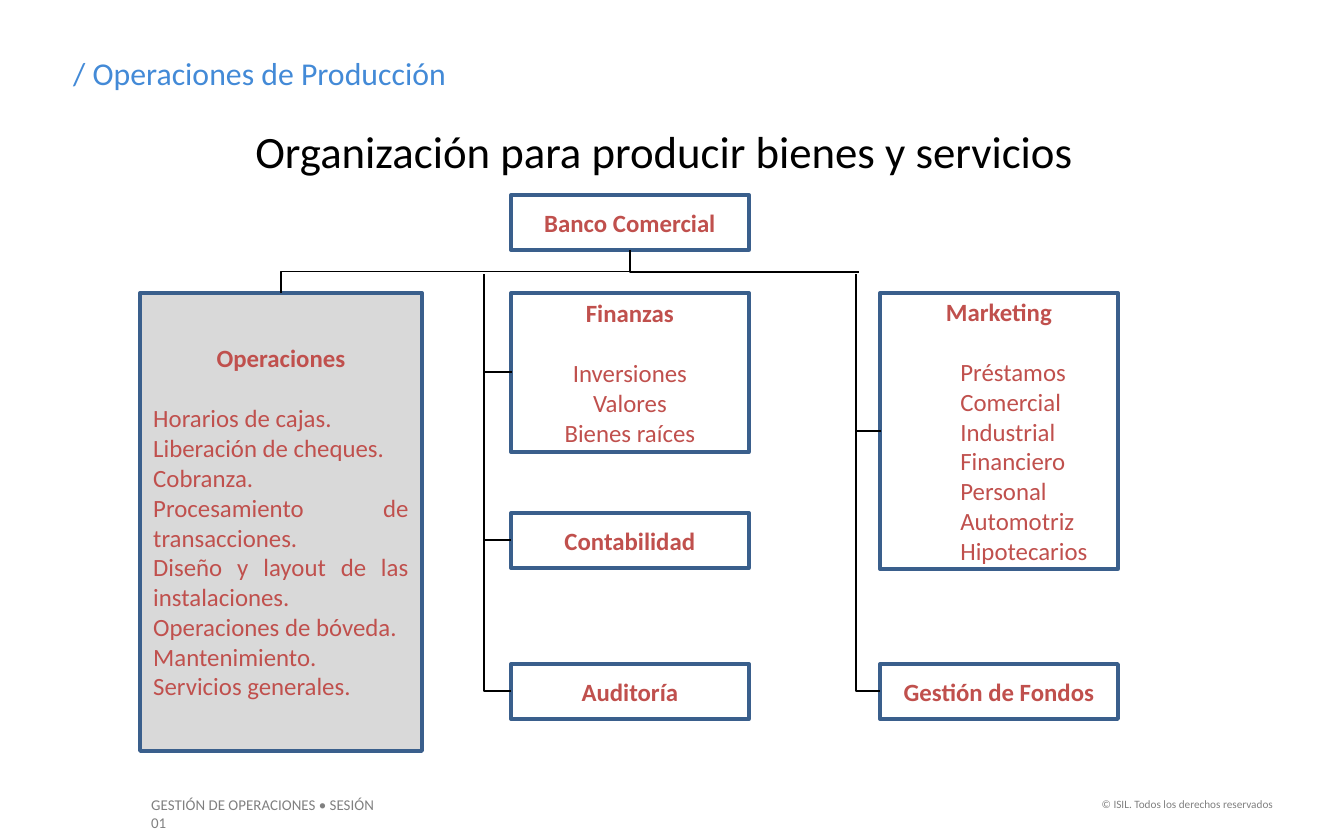
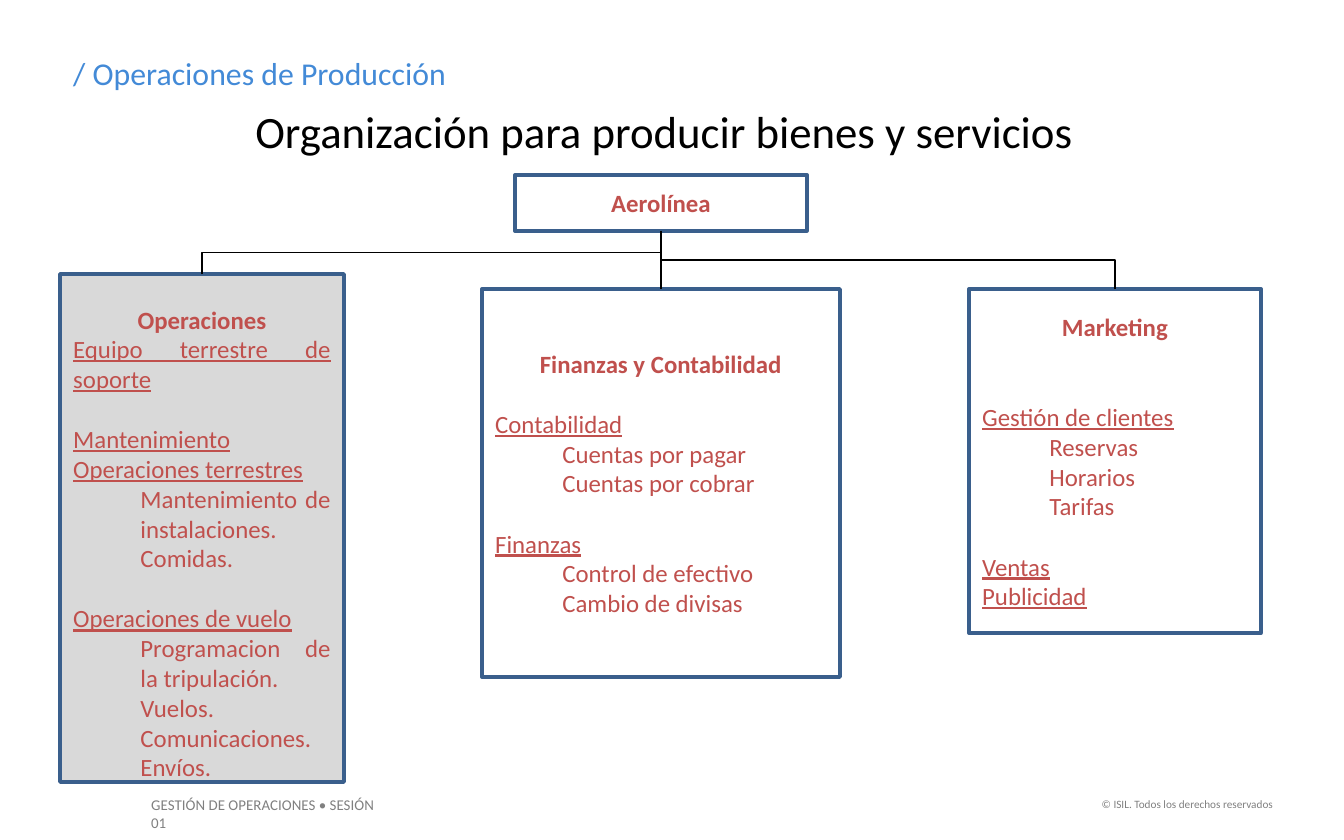
from dataclasses import dataclass
from enum import Enum
from math import cos, radians, sin

from lxml.etree import SubElement
from pptx import Presentation
from pptx.dml.color import RGBColor
from pptx.enum.shapes import MSO_CONNECTOR, MSO_SHAPE
from pptx.enum.text import MSO_ANCHOR, MSO_AUTO_SIZE, PP_ALIGN
from pptx.oxml.ns import qn
from pptx.util import Inches, Pt

EMU_PER_PX = 914400 / 134.4
TITLE = "Organización para producir bienes y servicios"
SECTION = "/ Operaciones de Producción"
COURSE = "GESTIÓN DE OPERACIONES • SESIÓN 01"
RIGHTS = "© ISIL. Todos los derechos reservados"


@dataclass(frozen=True)
class Theme:
    font: str = "Calibri"
    ink: str = "000000"
    section: str = "438AD7"
    footer: str = "808080"
    unit_text: str = "C0504D"
    unit_border: str = "3A5F8C"
    highlight: str = "D9D9D9"
    title_size: float = 24
    section_size: float = 17
    unit_size: float = 13.3
    course_size: float = 8
    rights_size: float = 6
    border_width: float = 2
    link_width: float = 0.75
    blank_line: float = 16.25


THEME = Theme()


class Role(Enum):
    HEAD = "head"
    ENTRY = "entry"
    TOPIC = "topic"
    DETAIL = "detail"


@dataclass(frozen=True)
class Line:
    text: str
    role: Role = Role.ENTRY
    blanks: int = 0


def px(length):
    return round(length * EMU_PER_PX)


def area(*lengths):
    return [px(length) for length in lengths]


def color(value):
    return RGBColor.from_string(value)


def head(text):
    return [Line(text, Role.HEAD)]


def entries(*texts, blanks=0):
    return [Line(text, Role.ENTRY, 0 if i else blanks) for i, text in enumerate(texts)]


def topic(text, *details, blanks=0):
    return [Line(text, Role.TOPIC, blanks)] + [Line(d, Role.DETAIL) for d in details]


def style_font(paragraph, size, tone):
    font = paragraph.font
    font.name = THEME.font
    font.size = Pt(size)
    font.color.rgb = color(tone)
    return font


def add_label(slide, at, text, size, tone, align=PP_ALIGN.LEFT):
    label = slide.shapes.add_textbox(*area(*at))
    label.text_frame.word_wrap = True
    paragraph = label.text_frame.paragraphs[0]
    paragraph.text = text
    paragraph.alignment = align
    style_font(paragraph, size, tone)
    return label


def set_title(slide, top):
    title = slide.shapes.title
    title.left, title.top, title.width, title.height = area(19, top, 1290, 67)
    frame = title.text_frame
    frame.text = TITLE
    frame.auto_size = MSO_AUTO_SIZE.NONE
    frame.vertical_anchor = MSO_ANCHOR.TOP
    frame.paragraphs[0].alignment = PP_ALIGN.CENTER
    style_font(frame.paragraphs[0], THEME.title_size, THEME.ink)


def add_footers(slide, layout):
    course = add_label(slide, (138, 789, 267, 32), COURSE, THEME.course_size, THEME.footer)
    rights = add_label(slide, (1079, 791, 207, 27), RIGHTS, THEME.rights_size,
                       THEME.footer, PP_ALIGN.RIGHT)
    for footer in (course, rights):
        layout.shapes.element.append(footer.element)


def add_chart_slide(deck, layout, title_top):
    slide = deck.slides.add_slide(layout)
    set_title(slide, title_top)
    add_label(slide, (60, 47, 1059, 52), SECTION, THEME.section_size, THEME.section)
    return slide


def write_line(paragraph, line, align):
    paragraph.text = line.text
    paragraph.alignment = PP_ALIGN.CENTER if line.role is Role.HEAD else align
    if line.blanks:
        paragraph.space_before = Pt(line.blanks * THEME.blank_line)
    if line.role is Role.DETAIL:
        paragraph.level = 1
        properties = paragraph._p.get_or_add_pPr()
        properties.set("marL", str(Inches(0.5)))
        properties.set("indent", "0")
    font = style_font(paragraph, THEME.unit_size, THEME.unit_text)
    font.bold = line.role is Role.HEAD
    font.underline = line.role is Role.TOPIC


def add_unit(slide, at, lines, align=PP_ALIGN.LEFT, fill=None, lead=0):
    unit = slide.shapes.add_shape(MSO_SHAPE.RECTANGLE, *area(*at))
    unit.shadow.inherit = False
    if fill:
        unit.fill.solid()
        unit.fill.fore_color.rgb = color(fill)
    else:
        unit.fill.background()
    unit.line.color.rgb = color(THEME.unit_border)
    unit.line.width = Pt(THEME.border_width)
    frame = unit.text_frame
    frame.word_wrap = True
    frame.vertical_anchor = MSO_ANCHOR.MIDDLE
    frame.margin_top += px(lead)
    for i, line in enumerate(lines):
        paragraph = frame.add_paragraph() if i else frame.paragraphs[0]
        write_line(paragraph, line, align)
    return unit


def add_link(slide, kind, start, end):
    link = slide.shapes.add_connector(kind, *area(*start, *end))
    link.line.color.rgb = color(THEME.ink)
    link.line.width = Pt(THEME.link_width)
    SubElement(link.element.spPr, qn("a:effectLst"))
    return link


def add_elbow(slide, start, end, turn, bend=0.5, corner=False):
    center = [(a + b) / 2 for a, b in zip(start, end)]
    half_x, half_y = [(b - a) / 2 for a, b in zip(start, end)]
    c, s = round(cos(radians(turn))), round(sin(radians(turn)))
    reach = (half_x * c + half_y * s, half_y * c - half_x * s)
    elbow = add_link(slide, MSO_CONNECTOR.ELBOW,
                     [m - r for m, r in zip(center, reach)],
                     [m + r for m, r in zip(center, reach)])
    properties = elbow.element.spPr
    properties.find(qn("a:xfrm")).set("rot", str(turn * 60000))
    preset = properties.find(qn("a:prstGeom"))
    if corner:
        preset.set("prst", "bentConnector2")
    elif bend != 0.5:
        guides = preset.find(qn("a:avLst"))
        if guides is None:
            guides = SubElement(preset, qn("a:avLst"))
        SubElement(guides, qn("a:gd"), name="adj1", fmla=f"val {round(bend * 100000)}")


def build_bank(deck, layout):
    slide = add_chart_slide(deck, layout, 117)
    finance_x, marketing_x, width, low = 511, 880, 238, 55
    add_unit(slide, (finance_x, 195, width, low), head("Banco Comercial"))
    add_unit(slide, (finance_x, 293, width, 159),
             head("Finanzas") + entries("Inversiones", "Valores", "Bienes raíces", blanks=1),
             PP_ALIGN.CENTER)
    add_unit(slide, (finance_x, 513, width, low), head("Contabilidad"))
    add_unit(slide, (finance_x, 664, width, low), head("Auditoría"))
    loans = ["Préstamos", "Comercial", "Industrial", "Financiero", "Personal",
             "Automotriz", "Hipotecarios"]
    add_unit(slide, (marketing_x, 293, width, 276),
             head("Marketing") + [Line(loan, Role.DETAIL, 0 if i else 1)
                                  for i, loan in enumerate(loans)],
             PP_ALIGN.JUSTIFY)
    add_unit(slide, (marketing_x, 664, width, low), head("Gestión de Fondos"))
    add_unit(slide, (140, 293, 282, 458),
             head("Operaciones") + entries(
                 "Horarios de cajas.", "Liberación de cheques.", "Cobranza.",
                 "Procesamiento de transacciones.",
                 "Diseño y layout de las instalaciones.", "Operaciones de bóveda.",
                 "Mantenimiento.", "Servicios generales.", blanks=1),
             PP_ALIGN.JUSTIFY, THEME.highlight)

    bank_foot = (630, 250)
    add_elbow(slide, bank_foot, (281, 293), 90)
    add_elbow(slide, (finance_x + 1, 372), (finance_x, 540), 180, bend=28)
    add_elbow(slide, (finance_x, 691), (484, 274), 180, corner=True)
    add_elbow(slide, (marketing_x + 1, 431), (marketing_x, 691), 180, bend=25)
    add_elbow(slide, bank_foot, (859, 272), 270, corner=True)
    add_elbow(slide, (marketing_x, 431), (856, 274), 180, corner=True)


def build_airline(deck, layout):
    slide = add_chart_slide(deck, layout, 97)
    airline = add_unit(slide, (515, 175, 292, 56), head("Aerolínea"))
    finance = add_unit(
        slide, (482, 289, 358, 388),
        head("Finanzas y Contabilidad")
        + topic("Contabilidad", "Cuentas por pagar", "Cuentas por cobrar", blanks=1)
        + topic("Finanzas", "Control de efectivo", "Cambio de divisas", blanks=1))
    add_unit(slide, (969, 289, 292, 344),
             head("Marketing")
             + topic("Gestión de clientes", "Reservas", "Horarios", "Tarifas", blanks=2)
             + topic("Ventas", blanks=1) + topic("Publicidad"))
    add_unit(slide, (60, 274, 284, 508),
             head("Operaciones") + topic("Equipo terrestre de soporte")
             + topic("Mantenimiento", blanks=1)
             + topic("Operaciones terrestres", "Mantenimiento de instalaciones.", "Comidas.")
             + topic("Operaciones de vuelo", "Programacion de la tripulación.", "Vuelos.",
                     "Comunicaciones.", "Envíos.", blanks=1),
             PP_ALIGN.JUSTIFY, THEME.highlight, lead=30)

    airline_foot = (661, 231)
    add_elbow(slide, airline_foot, (202, 274), 90)
    add_elbow(slide, (1115, 289), airline_foot, 270)
    trunk = add_link(slide, MSO_CONNECTOR.STRAIGHT, airline_foot, (661, 289))
    trunk.begin_connect(airline, 2)
    trunk.end_connect(finance, 0)


def main():
    deck = Presentation()
    deck.slide_width, deck.slide_height = area(1344, 840)
    layout = deck.slide_layouts.get_by_name("Title Only")
    build_bank(deck, layout)
    build_airline(deck, layout)
    add_footers(deck.slides[0], layout)
    deck.save("out.pptx")


if __name__ == "__main__":
    main()
